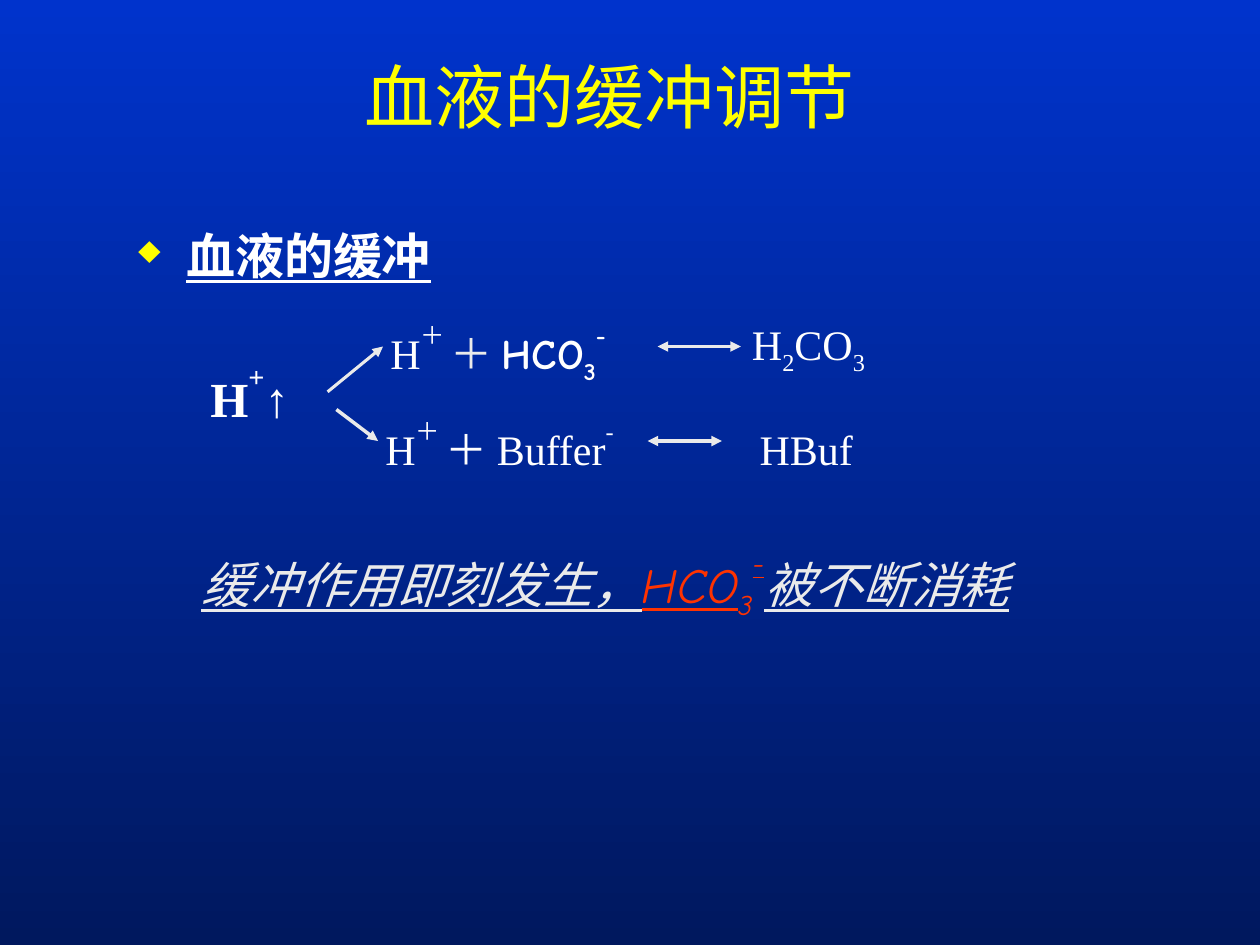
from lxml.etree import SubElement
from pptx import Presentation
from pptx.dml.color import RGBColor
from pptx.enum.shapes import MSO_CONNECTOR
from pptx.enum.text import MSO_ANCHOR, MSO_AUTO_SIZE, PP_ALIGN
from pptx.oxml.ns import qn
from pptx.util import Inches, Pt

YELLOW = RGBColor(0xFF, 0xFF, 0x00)
WHITE = RGBColor(0xFF, 0xFF, 0xFF)
GREY = RGBColor(0xEA, 0xEA, 0xEA)
RED = RGBColor(0xFF, 0x33, 0x00)
BLUE = RGBColor(0x00, 0x33, 0xCC)
NAVY = RGBColor(0x00, 0x18, 0x5E)

SERIF = "Times New Roman"
COMIC = "Comic Neue"
CJK = "Noto Sans CJK SC"
SUP, SUB = 60, -25


def set_background(s):
    fill = s.background.fill
    fill.gradient()
    fill.gradient_angle = 270  # top to bottom
    for stop, color, pos in zip(fill.gradient_stops, (BLUE, NAVY), (0, 1)):
        stop.color.rgb = color
        stop.position = pos


def add_run(p, text, size, color=WHITE, font=SERIF, base=0,
            bold=False, italic=False, underline=False):
    r = p.add_run()
    r.text = text
    f = r.font
    f.size, f.name, f.color.rgb = Pt(size), font, color
    f.bold, f.italic, f.underline = bold, italic, underline
    rPr = f._element
    SubElement(rPr, qn("a:ea"), typeface=CJK)
    if base:
        rPr.set("baseline", str(base * 1000))


def add_text(s, box, size, runs, before, inset=0.1, anchor=MSO_ANCHOR.TOP):
    """Place a text box; each run is (text, options). Return its paragraph."""
    sp = s.shapes.add_textbox(*map(Inches, box))
    tf = sp.text_frame
    tf.word_wrap = True
    tf.auto_size = MSO_AUTO_SIZE.SHAPE_TO_FIT_TEXT
    tf.vertical_anchor = anchor
    tf.margin_left = tf.margin_right = Inches(inset)
    p = tf.paragraphs[0]
    p.space_before = Pt(before)
    for text, options in runs:
        add_run(p, text, size, **options)
    return p


def add_bullet(p, char, color, percent, indent):
    pPr = p._p.get_or_add_pPr()
    pPr.set("marL", str(Inches(indent)))
    pPr.set("indent", str(-Inches(indent)))
    SubElement(SubElement(pPr, qn("a:buClr")), qn("a:srgbClr"), val=str(color))
    SubElement(pPr, qn("a:buSzPct"), val=str(percent * 1000))
    SubElement(pPr, qn("a:buChar"), char=char)


def add_tab_stop(p, pos):
    tabs = SubElement(p._p.get_or_add_pPr(), qn("a:tabLst"))
    SubElement(tabs, qn("a:tab"), pos=str(Inches(pos)), algn="l")


def add_arrow(s, start, end, width=2, both=False):
    line = s.shapes.add_connector(
        MSO_CONNECTOR.STRAIGHT, *map(Inches, start + end))
    line.line.color.rgb = GREY
    line.line.width = Pt(width)
    ln = line.line._get_or_add_ln()
    if both:
        SubElement(ln, qn("a:headEnd"), type="triangle")
    SubElement(ln, qn("a:tailEnd"), type="triangle")
    SubElement(line._element.spPr, qn("a:effectLst"))


def add_title(s, text):
    sp = s.shapes.title
    sp.left, sp.top, sp.width, sp.height = map(Inches, (0.67, 0.13, 8.33, 1.25))
    tf = sp.text_frame
    tf.auto_size = MSO_AUTO_SIZE.NONE
    tf.vertical_anchor = MSO_ANCHOR.MIDDLE
    p = tf.paragraphs[0]
    p.alignment = PP_ALIGN.CENTER
    add_run(p, text, 40, YELLOW)


def main():
    prs = Presentation()
    prs.slide_width, prs.slide_height = Inches(10), Inches(7.5)
    s = prs.slides.add_slide(prs.slide_layouts[5])
    set_background(s)
    add_title(s, "血液的缓冲调节")

    # Bulleted heading
    p = add_text(s, (1, 1.83, 4.67, 0.5), 28,
                 [("血液的缓冲", dict(bold=True, underline=True))], 7)
    p.line_spacing = 0.8
    add_bullet(p, "♦", YELLOW, 80, 0.38)

    # Rising hydrogen ion, branching to two buffers
    add_text(s, (1.67, 2.8, 0.9, 0.64), 28,
             [("H", dict(bold=True)), ("+", dict(bold=True, base=SUP)),
              ("↑", {})], 17.5, inset=0, anchor=MSO_ANCHOR.MIDDLE)
    add_arrow(s, (2.6, 3.11), (3.04, 2.75), width=1.75)
    add_arrow(s, (2.67, 3.25), (3, 3.5))

    # Bicarbonate reaction
    ion = [("H", {}), ("＋ ", dict(base=SUP))]
    comic = dict(font=COMIC, bold=True)
    add_text(s, (3, 2.49, 2.17, 0.62), 24,
             ion + [("＋ ", dict(color=GREY)), ("HCO", comic),
                    ("3", dict(comic, base=SUB)),
                    ("-", dict(comic, base=SUP))], 15)
    add_arrow(s, (5.22, 2.75), (5.88, 2.75), both=True)
    add_text(s, (5.87, 2.48, 1.33, 0.56), 24,
             [("H", {}), ("2", dict(base=SUB)),
              ("CO", {}), ("3", dict(base=SUB))], 15)

    # Generic buffer reaction
    p = add_text(s, (2.96, 3.25, 4.2, 0.56), 24,
                 ion + [("＋ Buffer", {}), ("-", dict(base=SUP)),
                        ("\tHBuf", {})], 15)
    add_tab_stop(p, 2.97)
    add_arrow(s, (5.14, 3.5), (5.73, 3.5), both=True)

    # Conclusion
    plain = dict(color=GREY, font=CJK, italic=True, underline=True)
    red = dict(color=RED, font=COMIC, italic=True)
    add_text(s, (1.5, 4.28, 7.36, 0.7), 28,
             [("缓冲作用即刻发生，", plain),
              ("HCO", dict(red, underline=True)),
              ("3", dict(red, base=SUB)),
              ("-", dict(red, base=SUP, underline=True)),
              ("被不断消耗", plain)], 17.5)

    prs.save("out.pptx")


if __name__ == "__main__":
    main()
